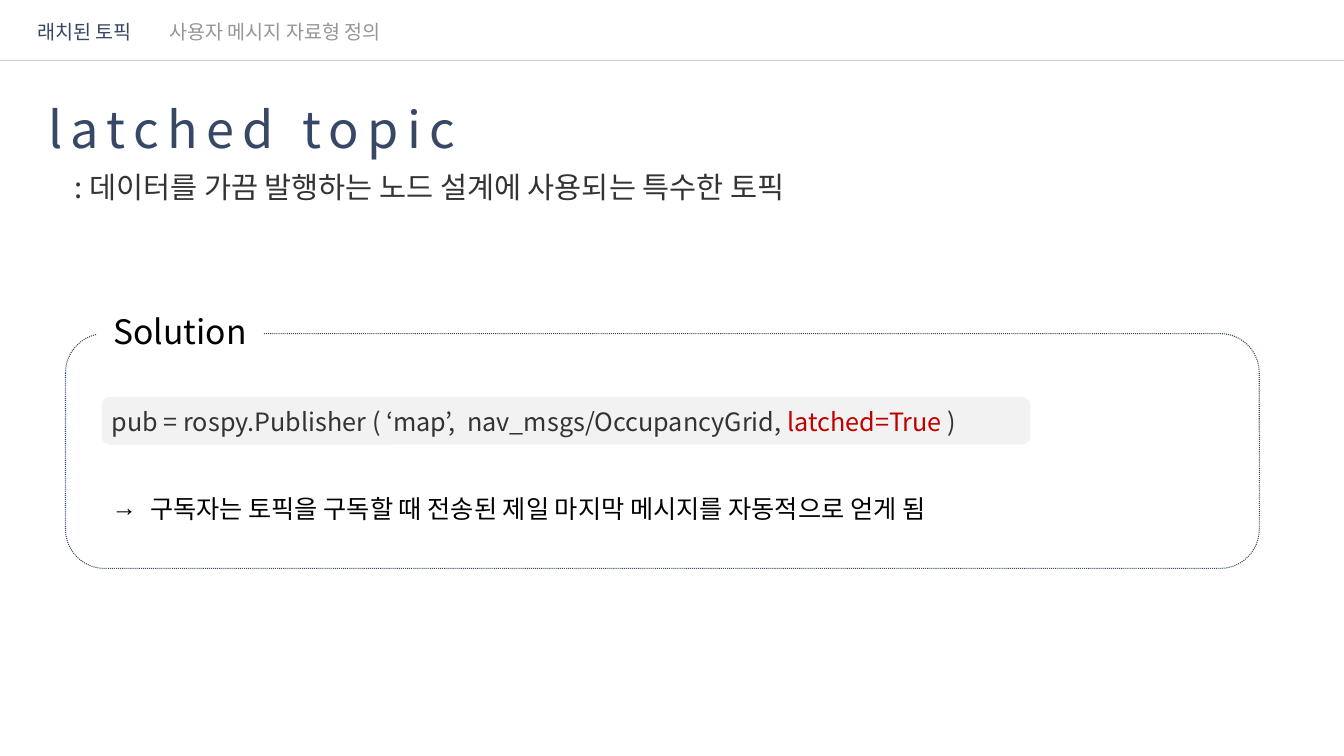
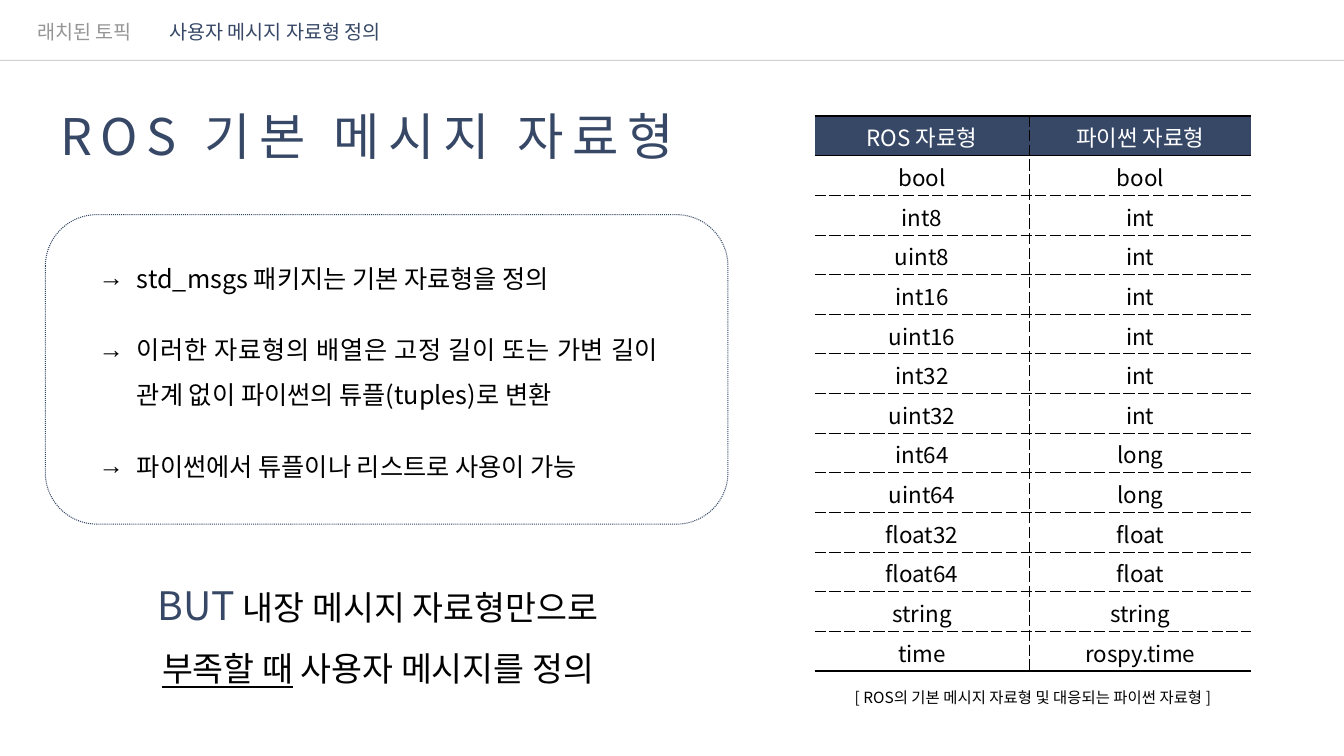
from dataclasses import dataclass
from typing import Optional, Sequence

from lxml.etree import SubElement
from pptx import Presentation
from pptx.dml.color import RGBColor
from pptx.enum.dml import MSO_LINE
from pptx.enum.shapes import MSO_CONNECTOR, MSO_SHAPE
from pptx.enum.text import MSO_ANCHOR, MSO_AUTO_SIZE, PP_ALIGN
from pptx.oxml.ns import qn
from pptx.shapes.autoshape import Shape
from pptx.slide import Slide
from pptx.table import _Cell
from pptx.text.text import TextFrame, _Paragraph, _Run
from pptx.util import Inches, Pt

FONT = "Noto Sans CJK KR"
COLORS = {
    "navy": "374867",
    "muted": "969696",
    "rule": "A6A6A6",
    "body": "333333",
    "black": "000000",
    "white": "FFFFFF",
    "code": "F2F2F2",
    "accent": "C00000",
}


@dataclass(frozen=True)
class Box:
    left: float
    top: float
    width: float
    height: float

    def lengths(self) -> tuple:
        return tuple(Inches(v) for v in (self.left, self.top, self.width, self.height))


@dataclass(frozen=True)
class Span:
    text: str
    size: float
    color: str = "black"
    underline: bool = False
    spacing: float = 0


@dataclass(frozen=True)
class Line:
    spans: Sequence[Span]
    align: PP_ALIGN = PP_ALIGN.LEFT
    line_spacing: Optional[float] = None
    space_before: float = 0
    bullet: bool = False


@dataclass(frozen=True)
class Tab:
    label: str
    box: Box


@dataclass(frozen=True)
class Border:
    width: float
    dash: str


TABS = (
    Tab("래치된 토픽", Box(0.25, 0.15, 1.18, 0.34)),
    Tab("사용자 메시지 자료형 정의", Box(1.55, 0.15, 2.36, 0.34)),
)
DASHED = Border(0.5, "sysDash")
THIN = Border(0.5, "solid")
THICK = Border(1, "solid")
TYPE_PAIRS = (
    ("ROS 자료형", "파이썬 자료형"),
    ("bool", "bool"),
    ("int8", "int"),
    ("uint8", "int"),
    ("int16", "int"),
    ("uint16", "int"),
    ("int32", "int"),
    ("uint32", "int"),
    ("int64", "long"),
    ("uint64", "long"),
    ("float32", "float"),
    ("float64", "float"),
    ("string", "string"),
    ("time", "rospy.time"),
)


def rgb(name: str) -> RGBColor:
    return RGBColor.from_string(COLORS[name])


def style_run(run: _Run, span: Span) -> None:
    run.font.name = FONT
    run.font.size = Pt(span.size)
    run.font.color.rgb = rgb(span.color)
    if span.underline:
        run.font.underline = True
    properties = run.font._element
    if span.spacing:
        properties.set("spc", str(int(span.spacing * 100)))
    SubElement(properties, qn("a:ea"), typeface=FONT)


def add_arrow_bullet(paragraph: _Paragraph) -> None:
    properties = paragraph._p.get_or_add_pPr()
    properties.set("marL", str(Inches(0.38)))
    properties.set("indent", str(-Inches(0.38)))
    SubElement(properties, qn("a:buFont"), typeface="Arial")
    SubElement(properties, qn("a:buChar"), char="→")


def write_lines(frame: TextFrame, lines: Sequence[Line]) -> None:
    frame.text = "\n".join("" for _ in lines)
    for paragraph, line in zip(frame.paragraphs, lines):
        paragraph.alignment = line.align
        if line.line_spacing:
            paragraph.line_spacing = line.line_spacing
        if line.space_before:
            paragraph.space_before = Pt(line.space_before)
        if line.bullet:
            add_arrow_bullet(paragraph)
        for span in line.spans:
            run = paragraph.add_run()
            run.text = span.text
            style_run(run, span)


def add_text(slide: Slide, box: Box, *lines: Line,
             anchor: MSO_ANCHOR = MSO_ANCHOR.TOP) -> None:
    frame = slide.shapes.add_textbox(*box.lengths()).text_frame
    frame.word_wrap = True
    frame.auto_size = MSO_AUTO_SIZE.SHAPE_TO_FIT_TEXT
    frame.vertical_anchor = anchor
    write_lines(frame, lines)


def add_panel(slide: Slide, preset: MSO_SHAPE, box: Box, fill: str) -> Shape:
    panel = slide.shapes.add_shape(preset, *box.lengths())
    panel.shadow.inherit = False
    panel.fill.solid()
    panel.fill.fore_color.rgb = rgb(fill)
    panel.line.fill.background()
    return panel


def add_dotted_frame(slide: Slide, box: Box) -> None:
    frame = add_panel(slide, MSO_SHAPE.ROUNDED_RECTANGLE, box, "white")
    frame.fill.background()
    frame.line.color.rgb = rgb("navy")
    frame.line.width = Pt(0.75)
    frame.line.dash_style = MSO_LINE.ROUND_DOT


def add_header(slide: Slide, active: int) -> None:
    rule = slide.shapes.add_connector(
        MSO_CONNECTOR.STRAIGHT, Inches(13.33), Inches(0.6), Inches(0), Inches(0.6))
    rule.line.color.rgb = rgb("rule")
    rule.line.width = Pt(0.75)
    properties = rule._element.spPr
    color = properties.find(".//" + qn("a:srgbClr"))
    SubElement(color, qn("a:alpha"), val="50000")
    SubElement(properties, qn("a:effectLst"))
    for index, tab in enumerate(TABS):
        color_name = "navy" if index == active else "muted"
        add_text(slide, tab.box, Line([Span(tab.label, 14, color_name)], PP_ALIGN.CENTER))


def add_title(slide: Slide, left: float, top: float, title: str) -> None:
    add_text(slide, Box(left, top, 6.82, 0.71),
             Line([Span(title, 36, "navy", spacing=6)], PP_ALIGN.JUSTIFY))


def set_border(cell: _Cell, side: str, border: Optional[Border]) -> None:
    edge = SubElement(cell._tc.get_or_add_tcPr(), qn(f"a:ln{side}"))
    if border is None:
        SubElement(edge, qn("a:noFill"))
        return
    edge.set("w", str(Pt(border.width)))
    fill = SubElement(edge, qn("a:solidFill"))
    SubElement(fill, qn("a:srgbClr"), val=COLORS["black"])
    SubElement(edge, qn("a:prstDash"), val=border.dash)


def add_type_table(slide: Slide, box: Box, widths: Sequence[float]) -> None:
    count = len(TYPE_PAIRS)
    table = slide.shapes.add_table(count, len(widths), *box.lengths()).table
    table.first_row = False
    table.horz_banding = False
    for column, width in zip(table.columns, widths):
        column.width = Inches(width)
    row_rules = [THICK, THIN] + [DASHED] * (count - 2) + [THICK]
    column_rules = [None, DASHED, None]
    for r, pair in enumerate(TYPE_PAIRS):
        table.rows[r].height = Inches(box.height / count)
        for c, type_name in enumerate(pair):
            cell = table.cell(r, c)
            cell.vertical_anchor = MSO_ANCHOR.MIDDLE
            set_border(cell, "L", column_rules[c])
            set_border(cell, "R", column_rules[c + 1])
            set_border(cell, "T", row_rules[r])
            set_border(cell, "B", row_rules[r + 1])
            if r == 0:
                cell.fill.solid()
                cell.fill.fore_color.rgb = rgb("navy")
            else:
                cell.fill.background()
            color = "white" if r == 0 else "black"
            write_lines(cell.text_frame,
                        [Line([Span(type_name, 16, color)], PP_ALIGN.CENTER)])


def build_latched_topic(slide: Slide) -> None:
    add_header(slide, 0)
    add_title(slide, 0.38, 0.92, "latched topic")
    add_text(slide, Box(0.64, 1.63, 8.62, 0.47),
             Line([Span(": 데이터를 가끔 발행하는 노드 설계에 사용되는 특수한 토픽", 21, "body")]))
    add_panel(slide, MSO_SHAPE.ROUNDED_RECTANGLE, Box(1.01, 3.94, 9.21, 0.47), "code")
    add_text(slide, Box(1.01, 3.98, 8.99, 0.4),
             Line([Span("pub = rospy.Publisher ( ‘map’,  nav_msgs/OccupancyGrid, ", 18, "body"),
                   Span("latched=True ", 18, "accent"),
                   Span(")", 18, "body")]),
             anchor=MSO_ANCHOR.MIDDLE)
    add_text(slide, Box(1.01, 4.69, 11.48, 0.56),
             Line([Span("구독자는 토픽을 구독할 때 전송된 제일 마지막 메시지를 자동적으로 얻게 됨", 18)],
                  line_spacing=1.5, bullet=True))
    add_dotted_frame(slide, Box(0.65, 3.31, 11.84, 2.33))
    solution = add_panel(slide, MSO_SHAPE.RECTANGLE, Box(0.96, 3.04, 1.65, 0.5), "white")
    solution.text_frame.vertical_anchor = MSO_ANCHOR.TOP
    write_lines(solution.text_frame, [Line([Span("Solution", 24)], PP_ALIGN.CENTER)])


def build_message_types(slide: Slide) -> None:
    add_header(slide, 1)
    add_title(slide, 0.5, 0.99, "ROS 기본 메시지 자료형")
    add_type_table(slide, Box(8.08, 1.15, 4.33, 5.51), (2.13, 2.2))
    facts = (
        "std_msgs 패키지는 기본 자료형을 정의",
        "이러한 자료형의 배열은 고정 길이 또는 가변 길이 관계 없이 파이썬의 튜플(tuples)로 변환",
        "파이썬에서 튜플이나 리스트로 사용이 가능",
    )
    add_text(slide, Box(0.88, 2.41, 5.75, 2.44),
             *(Line([Span(fact, 18)], PP_ALIGN.JUSTIFY, 1.5, 18.5 if index else 0, True)
               for index, fact in enumerate(facts)))
    add_text(slide, Box(8.08, 6.78, 4.33, 0.29),
             Line([Span("[ ROS의 기본 메시지 자료형 및 대응되는 파이썬 자료형 ]", 11)],
                  PP_ALIGN.CENTER))
    add_text(slide, Box(1.27, 5.48, 4.96, 1.41),
             Line([Span("BUT", 28, "navy"), Span(" 내장 메시지 자료형만으로", 24)],
                  PP_ALIGN.CENTER, 1.5),
             Line([Span("부족할 때", 24, underline=True),
                   Span(" 사용자 메시지를 정의", 24)], PP_ALIGN.CENTER, 1.5))
    add_dotted_frame(slide, Box(0.45, 2.13, 6.77, 3.07))


def main() -> None:
    deck = Presentation()
    deck.slide_width = Inches(13.33)
    deck.slide_height = Inches(7.5)
    for build in (build_latched_topic, build_message_types):
        build(deck.slides.add_slide(deck.slide_layouts[6]))
    deck.save("out.pptx")


main()
